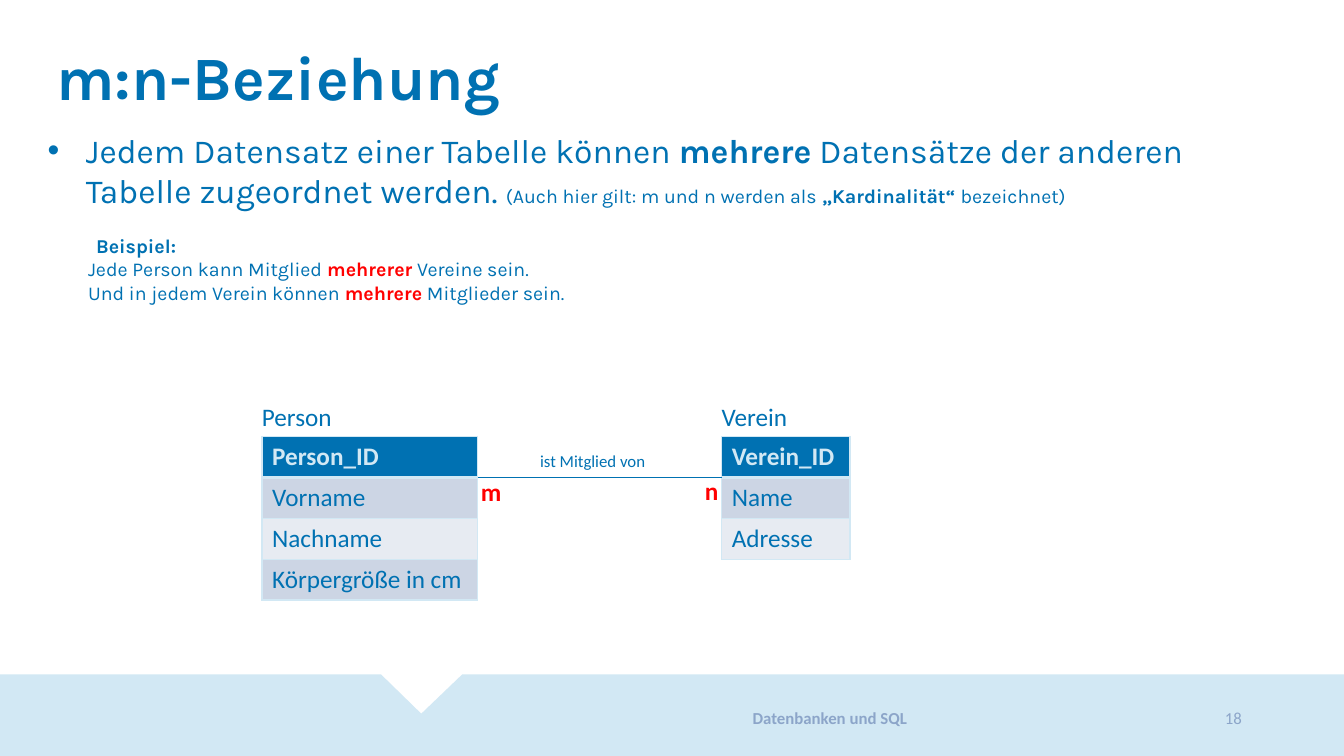
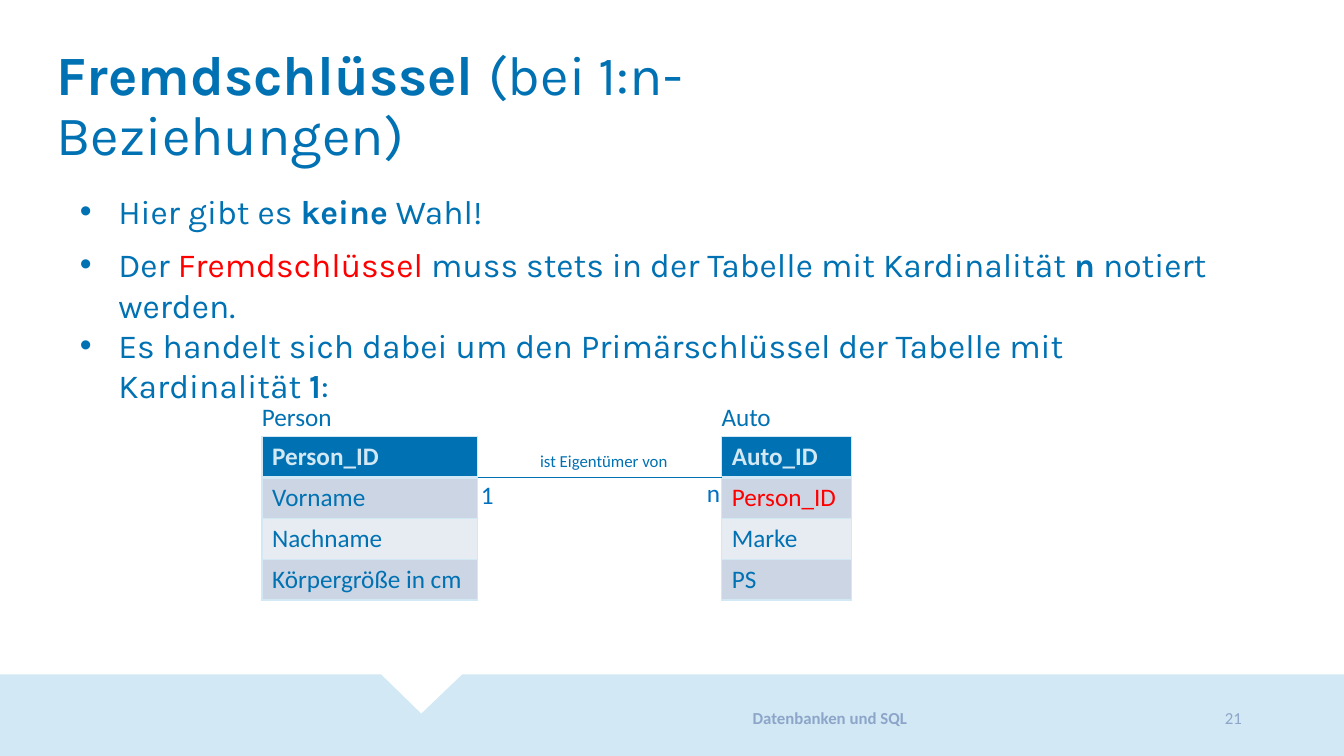
from lxml.etree import SubElement
from pptx import Presentation
from pptx.dml.color import RGBColor
from pptx.enum.shapes import MSO_CONNECTOR
from pptx.enum.text import MSO_ANCHOR, MSO_AUTO_SIZE, PP_ALIGN
from pptx.oxml.ns import qn
from pptx.util import Emu, Inches, Pt

BLUE = RGBColor(0x00, 0x71, 0xB2)
AZURE = RGBColor(0x00, 0x70, 0xC0)
SKY = RGBColor(0xD2, 0xE8, 0xF4)
HAZE = RGBColor(0x8C, 0xA5, 0xC9)
DARK = RGBColor(0xCC, 0xD5, 0xE4)
PALE = RGBColor(0xE7, 0xEB, 0xF2)
RED = RGBColor(0xFF, 0x00, 0x00)

WIDE, HIGH = Inches(13.333), Inches(7.5)
TITLE = (3.45, 5.6, 70, 10.53)
FOOT = (44, 92, 35.5, 6)
PAGE = (79.5, 92, 13.65, 6)
NOTCH = [(0, 89.2), (28.35, 89.2), (31.35, 94.4), (34.4, 89.2),
         (100, 89.2), (100, 100), (0, 100)]
TOP, ROW, INSET = 57.75, 5.4, 0.75
LEFT, SPAN, RIGHT = 19.5, 16.05, 53.7

HEAD = {"name": "Karla", "size": Pt(44), "bold": True, "rgb": BLUE}
BODY = {"name": "Karla", "size": Pt(24), "bold": False, "rgb": BLUE}
CELL = {"name": "Calibri", "size": Pt(18), "bold": False, "rgb": BLUE}
NOTE = {**CELL, "size": Pt(12)}
BOLD = {"bold": True}
HOT = {"rgb": RED}
LOUD = {**BOLD, **HOT}
SMALL = {"size": Pt(14)}
KEEP = {"word_wrap": True, "auto_size": MSO_AUTO_SIZE.NONE}


def across(share):
    """Turn a percentage of the slide width into a length."""
    return Emu(round(WIDE * share / 100))


def down(share):
    """Turn a percentage of the slide height into a length."""
    return Emu(round(HIGH * share / 100))


def place(box):
    """Turn left, top, width and height shares into lengths."""
    left, top, width, height = box
    return across(left), down(top), across(width), down(height)


def put(thing, **values):
    """Set each named attribute of a thing."""
    for name, value in values.items():
        setattr(thing, name, value)


def write(para, runs, base):
    """Add runs of text and format changes to a paragraph."""
    for text, change in runs:
        run = para.add_run()
        run.text = text
        look = {**base, **change}
        run.font.color.rgb = look.pop("rgb")
        put(run.font, **look)


def indent(para, left, mark):
    """Indent a paragraph, hanging a bullet if it has one."""
    props = para._p.get_or_add_pPr()
    props.set("marL", str(Inches(left)))
    props.set("indent", str(Inches(-left if mark else 0)))
    if mark:
        SubElement(props, qn("a:buFont"), typeface="Arial")
        SubElement(props, qn("a:buChar"), char="•")
    else:
        SubElement(props, qn("a:buNone"))


def label(slide, box, text, look, align=PP_ALIGN.LEFT, anchor=MSO_ANCHOR.TOP):
    """Add a one-line text box."""
    frame = slide.shapes.add_textbox(*place(box)).text_frame
    put(frame, vertical_anchor=anchor, **KEEP)
    para = frame.paragraphs[0]
    para.alignment = align
    write(para, [(text, {})], look)


def band(slide):
    """Draw the notched footer band."""
    start, *rest = [(across(x), down(y)) for x, y in NOTCH]
    pen = slide.shapes.build_freeform(*start)
    pen.add_line_segments(rest)
    shape = pen.convert_to_shape()
    shape.shadow.inherit = False
    shape.fill.solid()
    shape.fill.fore_color.rgb = SKY
    shape.line.fill.background()


def start(deck, title, page):
    """Add a slide with band, title, footer and page number."""
    slide = deck.slides.add_slide(deck.slide_layouts[1])
    band(slide)
    head = slide.shapes.title
    put(head, **dict(zip(("left", "top", "width", "height"), place(TITLE))))
    put(head.text_frame, vertical_anchor=MSO_ANCHOR.TOP, **KEEP)
    para = head.text_frame.paragraphs[0]
    put(para, alignment=PP_ALIGN.LEFT, line_spacing=0.9)
    write(para, title, HEAD)
    tone = {**NOTE, "rgb": HAZE}
    label(slide, FOOT, "Datenbanken und SQL", {**tone, **BOLD},
          PP_ALIGN.CENTER, MSO_ANCHOR.MIDDLE)
    label(slide, PAGE, page, tone, PP_ALIGN.RIGHT, MSO_ANCHOR.MIDDLE)
    return slide


def prose(slide, left, top, items):
    """Fill the body with (indent, bullet, space before, runs) items."""
    body = slide.placeholders[1]
    box = place((left, top, 86.9, 30.13))
    put(body, **dict(zip(("left", "top", "width", "height"), box)))
    frame = body.text_frame
    put(frame, vertical_anchor=MSO_ANCHOR.TOP, **KEEP)
    for spot, (step, mark, gap, runs) in enumerate(items):
        para = frame.add_paragraph() if spot else frame.paragraphs[0]
        indent(para, step, mark)
        para.space_before = Pt(gap)
        write(para, runs, BODY)


def edge(cell, row):
    """Line a cell, with a thick rule below the header row."""
    props = cell._tc.get_or_add_tcPr()
    for side in "LRTB":
        rule = side in "TB" and row + (side == "B") == 1
        line = SubElement(props, qn(f"a:ln{side}"), w=str(Pt(3 if rule else 1)))
        fill = SubElement(line, qn("a:solidFill"))
        SubElement(fill, qn("a:srgbClr"), val=str(SKY))


def entity(slide, left, width, name, fields):
    """Draw a named table with one row for each field."""
    box = (left, TOP, width, ROW * len(fields))
    table = slide.shapes.add_table(len(fields), 1, *place(box)).table
    table.horz_banding = False
    for row, (text, change) in enumerate(fields):
        table.rows[row].height = down(ROW)
        cell = table.cell(row, 0)
        edge(cell, row)
        cell.fill.solid()
        cell.fill.fore_color.rgb = (DARK if row % 2 else PALE) if row else BLUE
        look = CELL if row else {**CELL, **BOLD, "rgb": SKY}
        write(cell.text_frame.paragraphs[0], [(text, change)], look)
    label(slide, (left - INSET, 52.4, 15, 5.33), name, CELL)


def link(slide, text, marks, look):
    """Join both tables by a line with its name and marks."""
    level = down(TOP + ROW)
    line = slide.shapes.add_connector(
        MSO_CONNECTOR.STRAIGHT, across(LEFT + SPAN), level, across(RIGHT), level)
    put(line.line, width=Pt(0.5))
    line.line.color.rgb = BLUE
    SubElement(line._element.spPr, qn("a:effectLst"))
    label(slide, (39.45, 58.95, 14, 4), text, NOTE)
    for left, top, mark in marks:
        label(slide, (left, top, 3.5, 5.33), mark, {**CELL, **look})


def model(slide, name, width, fields, text, marks, look):
    """Draw the person table, a second table and their link."""
    person = ["Person_ID", "Vorname", "Nachname", "Körpergröße in cm"]
    entity(slide, LEFT, SPAN, "Person", [(field, {}) for field in person])
    entity(slide, RIGHT, width, name, fields)
    link(slide, text, marks, look)


def many(deck):
    """Build the slide on m:n relations."""
    slide = start(deck, [("m:n-Beziehung", {})], "18")
    prose(slide, 2.8, 16.53, [
        (0.38, True, 0, [
            ("Jedem Datensatz einer Tabelle können ", {}),
            ("mehrere", BOLD),
            (" Datensätze der anderen Tabelle zugeordnet werden. ", {}),
            ("(Auch hier gilt: m und n werden als ", SMALL),
            ("„Kardinalität“ ", {**SMALL, **BOLD}),
            ("bezeichnet)", SMALL)]),
        (0.48, False, 16.5, [("Beispiel:", {**SMALL, **BOLD})]),
        (0.4, False, 0, [
            ("Jede Person kann Mitglied ", SMALL),
            ("mehrerer", {**SMALL, **LOUD}),
            (" Vereine sein.", SMALL)]),
        (0.4, False, 0, [
            ("Und in jedem Verein können ", SMALL),
            ("mehrere", {**SMALL, **LOUD}),
            (" Mitglieder sein.", SMALL)])])
    model(slide, "Verein", 9.55,
          [("Verein_ID", {}), ("Name", {}), ("Adresse", {})],
          "ist Mitglied von",
          [(35.05, 62.4, "m"), (51.7, 62.27, "n")], LOUD)


def foreign(deck):
    """Build the slide on foreign keys."""
    size = {"size": Pt(39.6)}
    slide = start(deck, [
        ("Fremdschlüssel ", size),
        ("(bei 1:n-Beziehungen)", {**size, "bold": False})], "21")
    prose(slide, 5.2, 24.53, [
        (0.38, True, 0, [
            ("Hier gibt es ", {}), ("keine", BOLD), (" Wahl!", {})]),
        (0.38, True, 9.5, [
            ("Der ", {}), ("Fremdschlüssel", HOT),
            (" muss stets in der Tabelle mit Kardinalität ", {}),
            ("n", BOLD), (" notiert werden.", {})]),
        (0.38, True, 0, [
            ("Es handelt sich dabei um den Primärschlüssel der Tabelle mit "
             "Kardinalität ", {}),
            ("1", BOLD), (":", {})])])
    model(slide, "Auto", 9.68,
          [("Auto_ID", {}), ("Person_ID", HOT), ("Marke", {}), ("PS", {})],
          "ist Eigentümer von",
          [(35.05, 62.8, "1"), (51.85, 62.53, "n")], {"rgb": AZURE})


def main():
    """Build and save the deck."""
    deck = Presentation()
    put(deck, slide_width=WIDE, slide_height=HIGH)
    many(deck)
    foreign(deck)
    deck.save("out.pptx")


if __name__ == "__main__":
    main()
